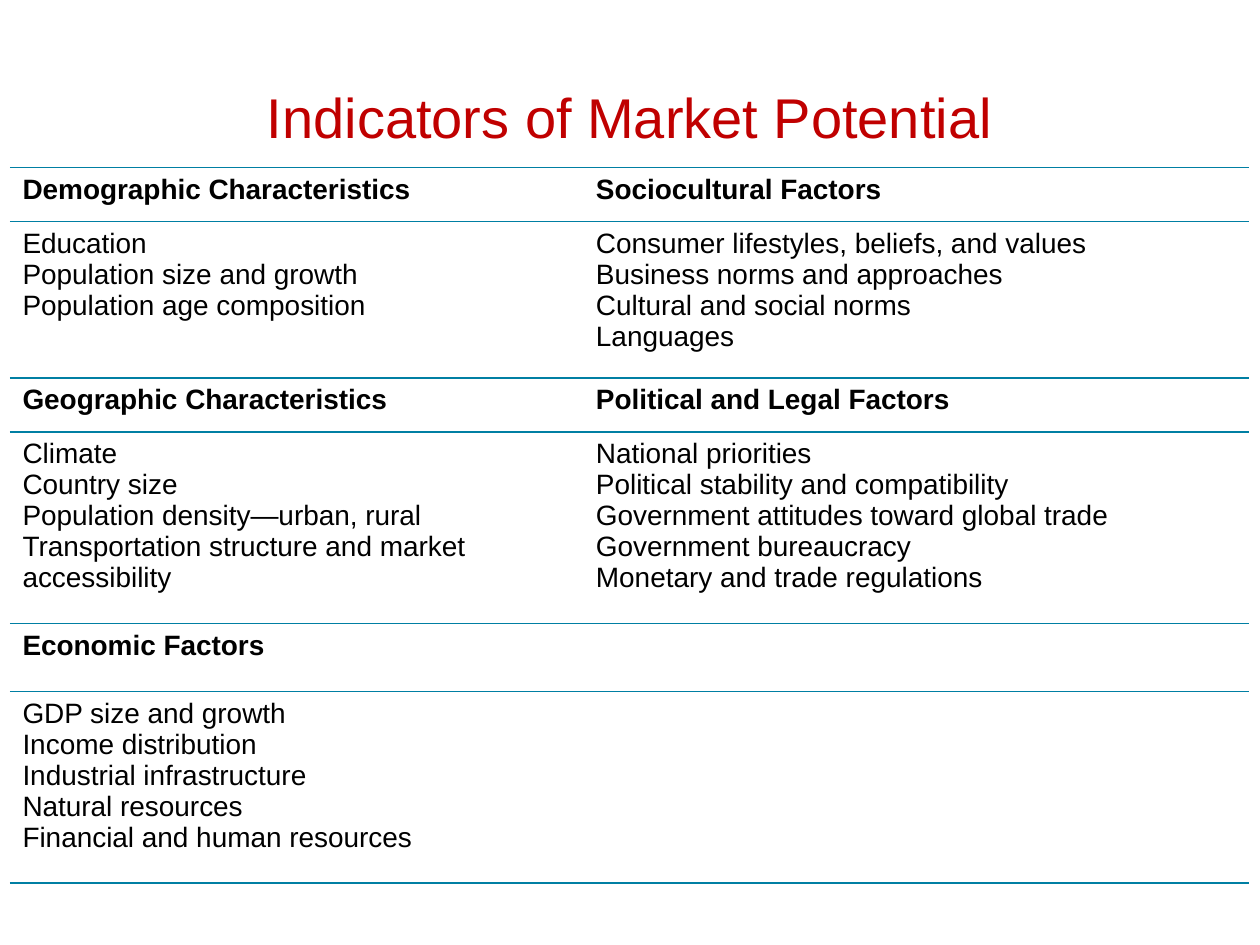
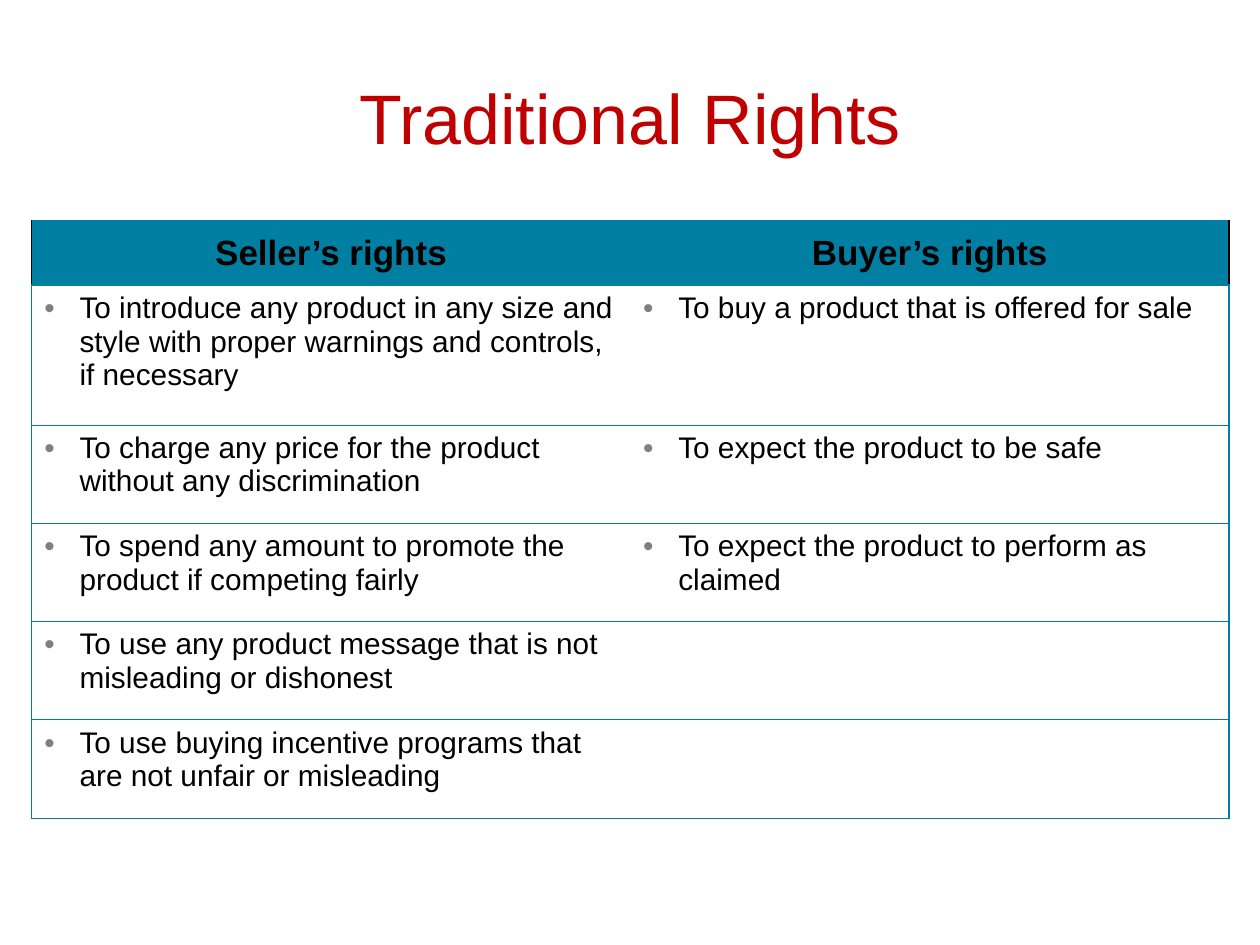
from lxml.etree import SubElement
from pptx import Presentation
from pptx.dml.color import RGBColor
from pptx.enum.text import MSO_ANCHOR, PP_ALIGN
from pptx.oxml.ns import qn
from pptx.util import Cm, Pt

HUES = {"title": "C00000", "teal": "007FA3", "text": "000000",
        "paper": "FFFFFF", "dot": "808080"}
HEAD = {"size": Pt(16), "bold": True}
BODY = {"size": Pt(16), "bold": False}
RIGHT = {"size": Pt(17), "bold": False}
TOP = {"size": Pt(20), "bold": True}


class Deck:
    def __init__(self, font="Arial"):
        self.font = font
        self.file = Presentation()
        self.file.slide_width, self.file.slide_height = Cm(25.4), Cm(19.05)
        self.slide = None

    def page(self, title, size):
        self.slide = self.file.slides.add_slide(self.file.slide_layouts[6])
        box = self.slide.shapes.add_textbox(Cm(1.27), Cm(0.76), Cm(22.86), Cm(3.18))
        frame = box.text_frame
        frame.word_wrap = True
        frame.vertical_anchor = MSO_ANCHOR.MIDDLE
        self.label(frame, [title], {"size": Pt(size)}, "title", PP_ALIGN.CENTER)

    def label(self, frame, lines, look, hue="text", align=PP_ALIGN.LEFT):
        """Put each line in its own paragraph of the frame."""
        for num, line in enumerate(lines):
            para = frame.paragraphs[0] if num == 0 else frame.add_paragraph()
            para.alignment = align
            run = para.add_run()
            run.text = line
            for name, value in {"name": self.font, **look}.items():
                setattr(run.font, name, value)
            run.font.color.rgb = RGBColor.from_string(HUES[hue])

    def table(self, left, top, cols, rows):
        """Add a plain table with the given column widths and row heights in cm."""
        frame = self.slide.shapes.add_table(
            len(rows), len(cols), Cm(left), Cm(top), Cm(sum(cols)), Cm(sum(rows)))
        grid = frame.table
        grid.first_row = grid.horz_banding = False
        for col, width in zip(grid.columns, cols):
            col.width = Cm(width)
        for row, height in zip(grid.rows, rows):
            row.height = Cm(height)
        return grid

    def cell(self, cell, edges, fill="paper"):
        """Draw edges, a dict of side to (hue, points), and fill the cell."""
        props = cell._tc.get_or_add_tcPr()
        for side in "LRTB":
            hue, width = edges.get(side, (None, 0))
            line = SubElement(props, qn("a:ln" + side), w=str(Pt(width)))
            if hue:
                paint = SubElement(line, qn("a:solidFill"))
                SubElement(paint, qn("a:srgbClr"), val=HUES[hue])
            else:
                SubElement(line, qn("a:noFill"))
        cell.fill.solid()
        cell.fill.fore_color.rgb = RGBColor.from_string(HUES[fill])

    def bullet(self, para):
        props = para._p.get_or_add_pPr()
        props.set("marL", str(Cm(0.71)))
        props.set("indent", str(-Cm(0.71)))
        tint = SubElement(props, qn("a:buClr"))
        SubElement(tint, qn("a:srgbClr"), val=HUES["dot"])
        SubElement(props, qn("a:buFont"), typeface=self.font)
        SubElement(props, qn("a:buChar"), char="•")


def market(deck):
    deck.page("Indicators of Market Potential", 32)
    cells = [
        (["Demographic Characteristics"], ["Sociocultural Factors"]),
        (["Education", "Population size and growth", "Population age composition"],
         ["Consumer lifestyles, beliefs, and values", "Business norms and approaches",
          "Cultural and social norms", "Languages"]),
        (["Geographic Characteristics"], ["Political and Legal Factors"]),
        (["Climate", "Country size", "Population density—urban, rural",
          "Transportation structure and market accessibility"],
         ["National priorities", "Political stability and compatibility",
          "Government attitudes toward global trade", "Government bureaucracy",
          "Monetary and trade regulations"]),
        (["Economic Factors"], []),
        (["GDP size and growth", "Income distribution", "Industrial infrastructure",
          "Natural resources", "Financial and human resources"], []),
    ]
    rules = [1, 1, 1, 1, 1, 0.5, 1]
    grid = deck.table(0.2, 3.38, [11.56, 13.41], [1.09, 3.15, 1.09, 3.86, 1.37, 3.86])
    for row, pair in enumerate(cells):
        edges = {"T": ("teal", rules[row]), "B": ("teal", rules[row + 1])}
        for col, lines in enumerate(pair):
            cell = grid.cell(row, col)
            deck.cell(cell, edges)
            deck.label(cell.text_frame, lines, BODY if row % 2 else HEAD)


def rights(deck):
    deck.page("Traditional Rights", 40)
    cells = [
        ("Seller’s rights", "Buyer’s rights"),
        ("To introduce any product in any size and style with proper warnings "
         "and controls, if necessary", "To buy a product that is offered for sale"),
        ("To charge any price for the product without any discrimination",
         "To expect the product to be safe"),
        ("To spend any amount to promote the product if competing fairly",
         "To expect the product to perform as claimed"),
        ("To use any product message that is not misleading or dishonest", ""),
        ("To use buying incentive programs that are not unfair or misleading", ""),
    ]
    rules = [0.5, 1] + [0.5] * 5
    grid = deck.table(0.64, 4.45, [12.07] * 2, [1.3, 2.82] + [1.98] * 4)
    for row, pair in enumerate(cells):
        for col, line in enumerate(pair):
            cell = grid.cell(row, col)
            edges = {"T": ("teal", rules[row]), "B": ("teal", rules[row + 1]),
                     "LR"[col]: ("teal" if row else "text", 1)}
            deck.cell(cell, edges, "paper" if row else "teal")
            if row == 0:
                cell.vertical_anchor = MSO_ANCHOR.MIDDLE
                deck.label(cell.text_frame, [line], TOP, align=PP_ALIGN.CENTER)
            elif line:
                deck.label(cell.text_frame, [line], RIGHT)
                deck.bullet(cell.text_frame.paragraphs[0])


def main():
    deck = Deck()
    market(deck)
    rights(deck)
    deck.file.save("out.pptx")


if __name__ == "__main__":
    main()
